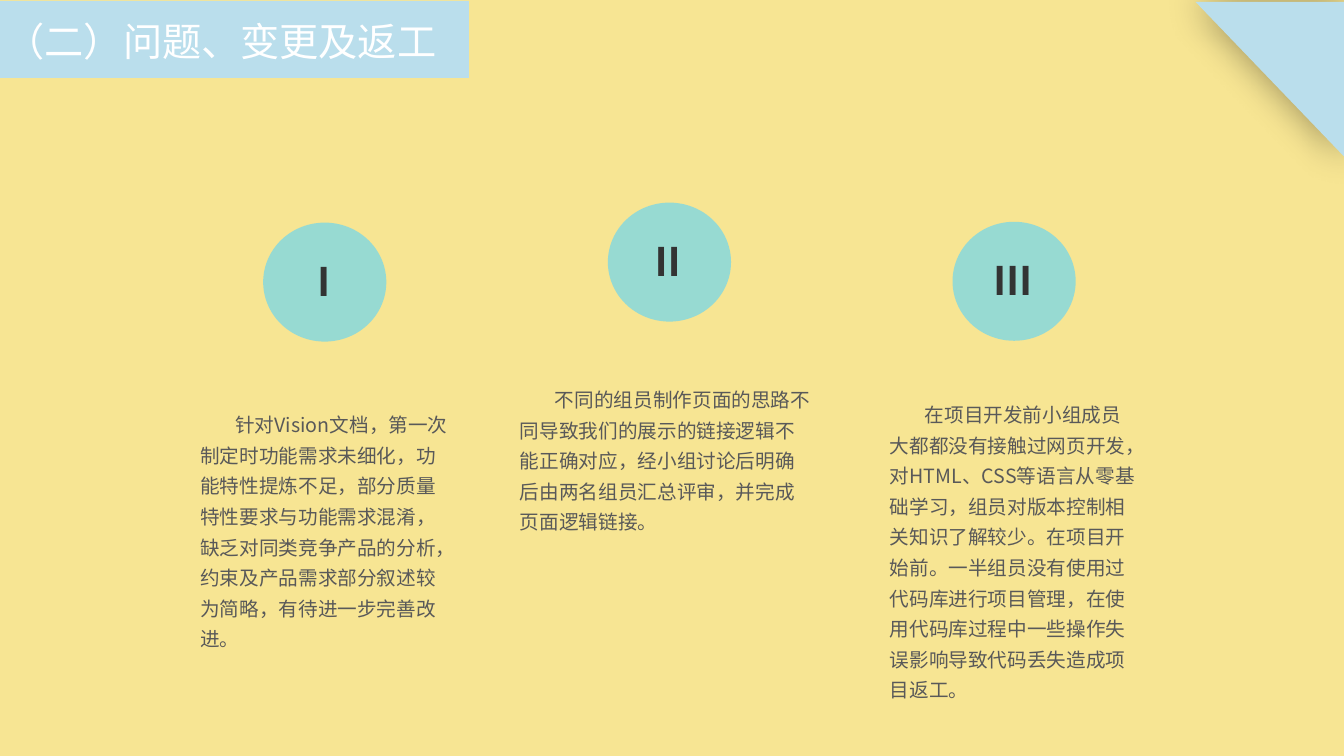
from lxml.etree import SubElement
from pptx import Presentation
from pptx.dml.color import RGBColor
from pptx.enum.shapes import MSO_SHAPE
from pptx.enum.text import MSO_ANCHOR, PP_ALIGN
from pptx.oxml.ns import qn
from pptx.util import Pt

FONT = "Noto Sans CJK SC"
SAND = RGBColor(0xF7, 0xE5, 0x93)
SKY = RGBColor(0xBA, 0xDE, 0xEC)
AQUA = RGBColor(0x7E, 0xD8, 0xE4)
WHITE = RGBColor(0xFF, 0xFF, 0xFF)
INK = RGBColor(0x33, 0x33, 0x33)
GREY = RGBColor(0x59, 0x59, 0x59)
SHADOW = RGBColor(0x00, 0x00, 0x00)

BADGE_LEFT, BADGE_STEP = 188, 246.2
BADGE_WIDTH, BADGE_HEIGHT = 88, 85

ISSUES = [
    ("Ⅰ", 159, (136, 286.6, 191.5, 205),
     "针对Vision文档，第一次制定时功能需求未细化，功能特性提炼不足，部分质量特性要求与功能需求混淆，"
     "缺乏对同类竞争产品的分析，约束及产品需求部分叙述较为简略，有待进一步完善改进。"),
    ("Ⅱ", 144.7, (364.3, 268.6, 224.6, 117.4),
     "不同的组员制作页面的思路不同导致我们的展示的链接逻辑不能正确对应，经小组讨论后明确后由两名组员"
     "汇总评审，并完成页面逻辑链接。"),
    ("Ⅲ", 158.4, (628.5, 279.4, 191.5, 227.5),
     "在项目开发前小组成员大都都没有接触过网页开发，对HTML、CSS等语言从零基础学习，组员对版本控制相关"
     "知识了解较少。在项目开始前。一半组员没有使用过代码库进行项目管理，在使用代码库过程中一些操作失误"
     "影响导致代码丢失造成项目返工。"),
]


def add_text(slide, text, box, size, color, bold=False, spacing=1.0, indent=0):
    """Add a wrapped, left-aligned text box."""
    frame = slide.shapes.add_textbox(*map(Pt, box)).text_frame
    frame.word_wrap = True
    frame.vertical_anchor = MSO_ANCHOR.TOP
    paragraph = frame.paragraphs[0]
    paragraph.alignment = PP_ALIGN.LEFT
    paragraph.line_spacing = spacing
    if indent:
        paragraph._p.get_or_add_pPr().set("indent", str(Pt(indent)))
    run = paragraph.add_run()
    run.text = text
    run.font.size = Pt(size)
    run.font.bold = bold
    run.font.color.rgb = color
    run.font.name = FONT
    SubElement(run._r.get_or_add_rPr(), qn("a:ea"), typeface=FONT)


def paint(shape, color, opacity=100):
    """Give a shape a plain fill with no line or shadow."""
    shape.shadow.inherit = False
    shape.fill.solid()
    shape.fill.fore_color.rgb = color
    shape.line.fill.background()
    if opacity < 100:
        tint = shape._element.spPr.find(qn("a:solidFill"))[0]
        SubElement(tint, qn("a:alpha"), val=str(opacity * 1000))


def add_shape(slide, preset, box, color, opacity=100):
    """Add a painted preset shape."""
    paint(slide.shapes.add_shape(preset, *map(Pt, box)), color, opacity)


def add_corner(slide):
    """Add the folded corner with its soft shadow."""
    builder = slide.shapes.build_freeform(Pt(854), Pt(1.4))
    builder.add_line_segments([(Pt(960.5), Pt(1.4)), (Pt(960.5), Pt(112.3))])
    corner = builder.convert_to_shape()
    paint(corner, SKY)
    effects = corner._element.spPr.find(qn("a:effectLst"))
    shadow = SubElement(effects, qn("a:outerShdw"), blurRad=str(Pt(28)),
                        dist="0", dir="0", algn="ctr", rotWithShape="0")
    tint = SubElement(shadow, qn("a:srgbClr"), val=str(SHADOW))
    SubElement(tint, qn("a:alpha"), val="40000")


def add_issue(slide, column, numeral, top, story_box, story):
    """Add a numbered badge and the paragraph below it."""
    left = BADGE_LEFT + column * BADGE_STEP
    add_shape(slide, MSO_SHAPE.OVAL, (left, top, BADGE_WIDTH, BADGE_HEIGHT),
              AQUA, opacity=79)
    add_text(slide, numeral, (left + 22.3, top + 21.3, 59.8, 41), 28, INK,
             bold=True)
    add_text(slide, story, story_box, 14, GREY, spacing=1.3, indent=25)


def main():
    """Build and save the slide."""
    deck = Presentation()
    deck.slide_width, deck.slide_height = Pt(960), Pt(540)
    slide = deck.slides.add_slide(deck.slide_layouts[6])
    slide.background.fill.solid()
    slide.background.fill.fore_color.rgb = SAND
    add_corner(slide)
    add_shape(slide, MSO_SHAPE.RECTANGLE, (-13, 0.7, 348, 55), SKY)
    add_text(slide, "（二）问题、变更及返工", (-3, 8.6, 330.5, 41), 28, WHITE)
    for column, issue in enumerate(ISSUES):
        add_issue(slide, column, *issue)
    deck.save("out.pptx")


if __name__ == "__main__":
    main()
